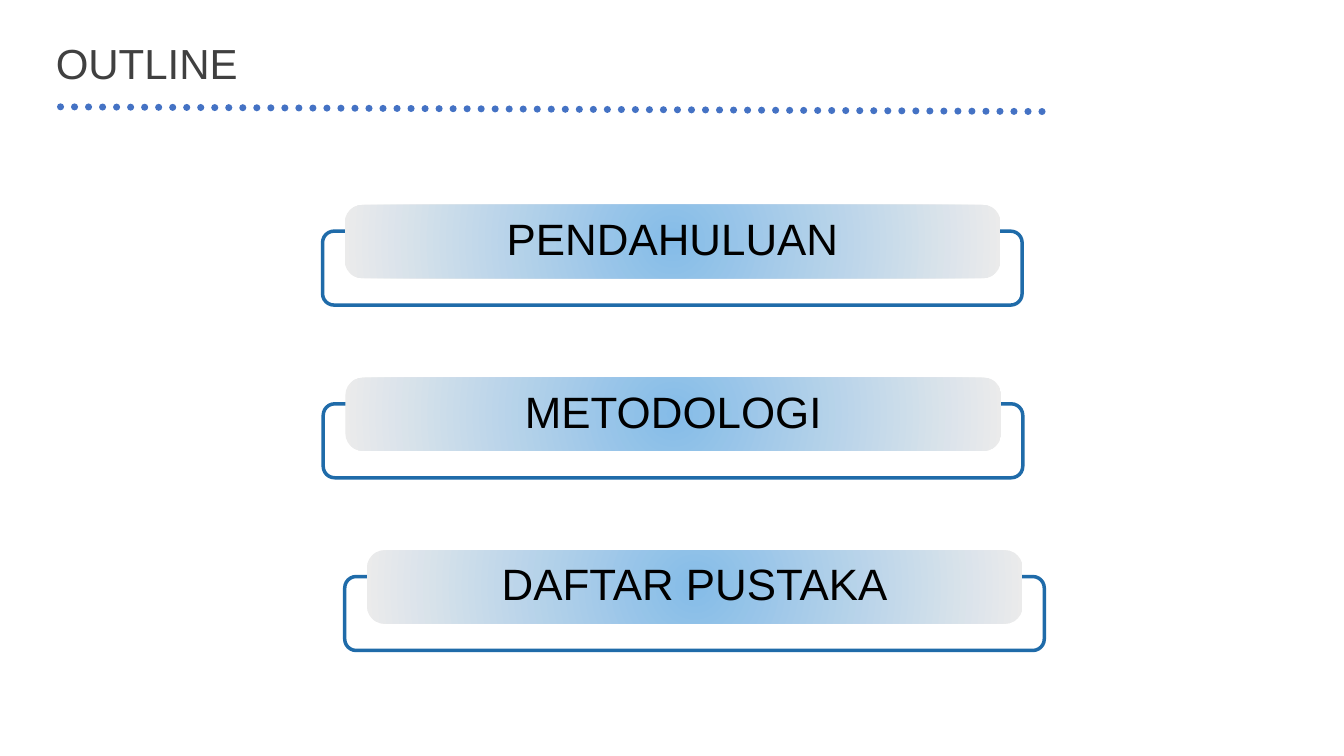
import pptx
import pptx.util
import pptx.dml.color
import pptx.enum.dml
import pptx.enum.shapes
import pptx.enum.text
import pptx.oxml
import pptx.oxml.ns

Inches = pptx.util.Inches
Pt = pptx.util.Pt
RGBColor = pptx.dml.color.RGBColor
Align = pptx.enum.text.PP_ALIGN
Anchor = pptx.enum.text.MSO_ANCHOR
ROUND = pptx.enum.shapes.MSO_SHAPE.ROUNDED_RECTANGLE

TITLE = "OUTLINE"
TOPICS = [("PENDAHULUAN", 4.8), ("METODOLOGI", 4.81), ("DAFTAR PUSTAKA", 5.13)]

FONT = "Arial"
BLACK = RGBColor(0x00, 0x00, 0x00)
GREY = RGBColor(0x40, 0x40, 0x40)
BLUE = RGBColor(0x44, 0x72, 0xC4)
NAVY = RGBColor(0x1F, 0x6B, 0xA9)
SKY = RGBColor(0x85, 0xBC, 0xE8)
PALE = RGBColor(0xEB, 0xEB, 0xEB)

TOP, STEP = 3.05, 2.57
FRAME_W, FRAME_H, FRAME_R = 10.41, 1.1, 0.17
BAR_W, BAR_H, BAR_R = 9.76, 1.09, 0.26
INSET, DROP = 0.33, 0.39


def write(frame, text, size, color, align, space, anchor, margins):
    frame.word_wrap = True
    frame.auto_size = pptx.enum.text.MSO_AUTO_SIZE.NONE
    frame.vertical_anchor = anchor
    (frame.margin_left, frame.margin_top,
     frame.margin_right, frame.margin_bottom) = map(Inches, margins)
    frame.text = text
    para = frame.paragraphs[0]
    para.alignment = align
    para.line_spacing = Pt(space)
    para.font.name = FONT
    para.font.size = Pt(size)
    para.font.color.rgb = color


def add_box(slide, x, y, w, h, r):
    box = slide.shapes.add_shape(ROUND, Inches(x), Inches(y), Inches(w), Inches(h))
    box.adjustments[0] = r / h
    box.shadow.inherit = False
    box.fill.background()
    return box


def set_glow(box):
    grad = pptx.oxml.parse_xml(
        f'<a:gradFill {pptx.oxml.ns.nsdecls("a")} rotWithShape="1"><a:gsLst>'
        f'<a:gs pos="0"><a:srgbClr val="{SKY}"/></a:gs>'
        f'<a:gs pos="100000"><a:srgbClr val="{PALE}"/></a:gs></a:gsLst>'
        '<a:path path="circle"><a:fillToRect l="50000" t="50000" r="50000" b="50000"/>'
        '</a:path></a:gradFill>')
    props = box._element.spPr
    props.replace(props.find(pptx.oxml.ns.qn("a:noFill")), grad)


def add_rule(slide):
    rule = slide.shapes.add_connector(
        pptx.enum.shapes.MSO_CONNECTOR.STRAIGHT,
        Inches(0.9), Inches(1.59), Inches(15.56), Inches(1.66))
    rule.line.color.rgb = BLUE
    rule.line.width = Pt(7.5)
    rule.line.dash_style = pptx.enum.dml.MSO_LINE.ROUND_DOT
    props = rule._element.spPr
    props.find(pptx.oxml.ns.qn("a:ln")).set("cap", "rnd")
    props.append(pptx.oxml.parse_xml(f'<a:effectLst {pptx.oxml.ns.nsdecls("a")}/>'))


def add_topic(slide, text, x, y):
    frame = add_box(slide, x, y + DROP, FRAME_W, FRAME_H, FRAME_R)
    frame.line.color.rgb = NAVY
    frame.line.width = Pt(3.75)
    bar = add_box(slide, x + INSET, y, BAR_W, BAR_H, BAR_R)
    set_glow(bar)
    bar.line.fill.background()
    write(bar.text_frame, text, 47, BLACK, Align.CENTER, 45.7,
          Anchor.MIDDLE, (0.06, 0.1, 0.06, 0.06))


def main():
    deck = pptx.Presentation()
    deck.slide_width, deck.slide_height = Inches(20), Inches(11.25)
    slide = deck.slides.add_slide(deck.slide_layouts[5])
    add_rule(slide)
    title = slide.shapes.title
    title.left, title.top = Inches(0.83), Inches(0.63)
    title.width, title.height = Inches(12.9), Inches(0.78)
    write(title.text_frame, TITLE, 45, GREY, Align.LEFT, 48.6, Anchor.TOP, (0, 0, 0, 0))
    for i, (text, x) in enumerate(TOPICS):
        add_topic(slide, text, x, TOP + i * STEP)
    deck.save("out.pptx")


if __name__ == "__main__":
    main()
